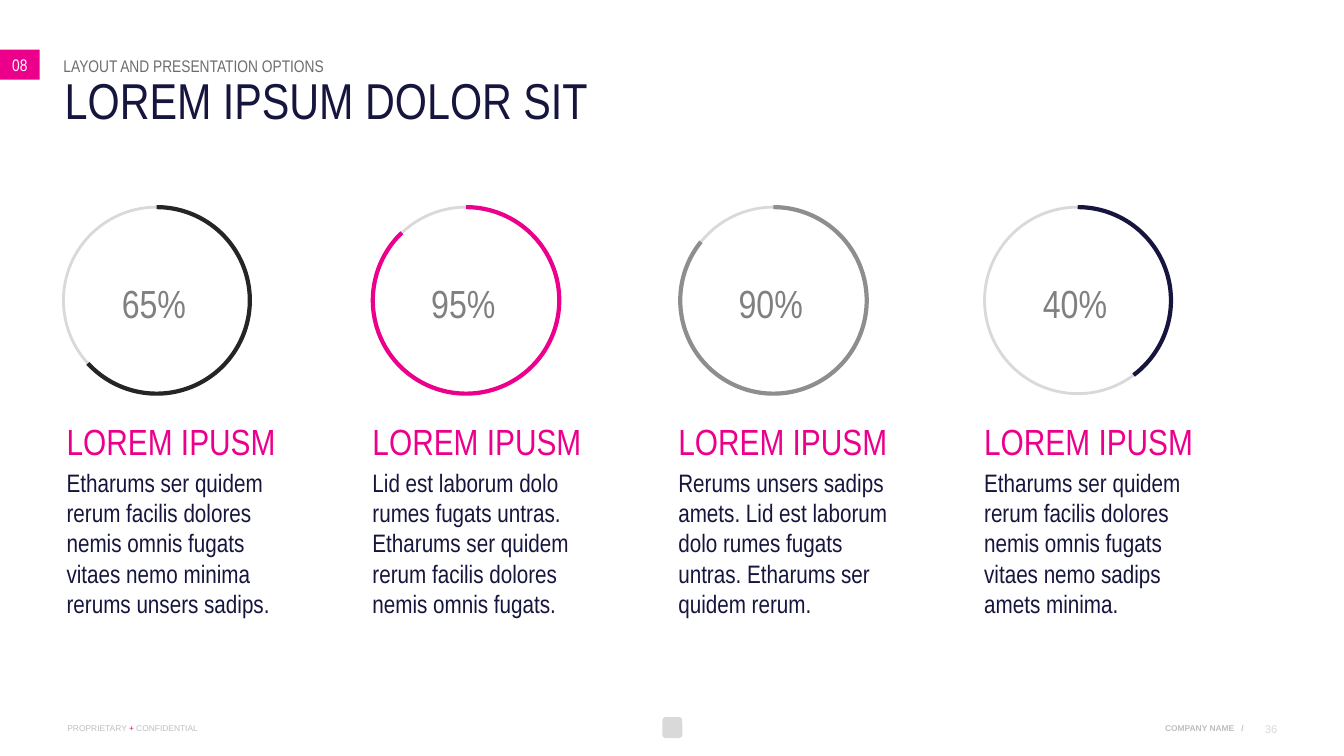
from dataclasses import dataclass
from pptx import Presentation
from pptx.dml.color import RGBColor
from pptx.enum.shapes import MSO_SHAPE as Shape
from pptx.enum.text import MSO_ANCHOR as Anchor, MSO_AUTO_SIZE as AutoSize, PP_ALIGN as Align
from pptx.util import Cm, Pt


@dataclass(frozen=True)
class Theme:
    narrow: str = "Arial Narrow"
    sans: str = "Arial"
    pink: str = "EC008B"
    navy: str = "16153E"
    black: str = "262526"
    ring: str = "8E8E8E"
    track: str = "D9D9D9"
    percent: str = "808080"
    kicker: str = "6D6D6D"
    footer: str = "BFBFBF"
    white: str = "FFFFFF"
    title_size: int = 36
    percent_size: int = 28
    heading_size: int = 26
    body_size: int = 18
    kicker_size: int = 12
    number_size: int = 8
    footer_size: int = 6


@dataclass(frozen=True)
class Stat:
    percent: str
    sweep: float
    color: str
    ring_left: float
    text: str


T = Theme()
HEADING = "LOREM IPUSM"
STATS = [
    Stat("65%", 227.5, T.black, 1.6,
         "Etharums ser quidem rerum facilis dolores nemis omnis fugats vitaes nemo minima rerums unsers sadips."),
    Stat("95%", 316.5, T.pink, 9.4,
         "Lid est laborum dolo rumes fugats untras. Etharums ser quidem rerum facilis dolores nemis omnis fugats."),
    Stat("90%", 308.9, T.ring, 17.15,
         "Rerums unsers sadips amets. Lid est laborum dolo rumes fugats untras. Etharums ser quidem rerum."),
    Stat("40%", 143.2, T.navy, 24.82,
         "Etharums ser quidem rerum facilis dolores nemis omnis fugats vitaes nemo sadips amets minima."),
]


def rgb(value):
    return RGBColor.from_string(value)


def write(sp, paragraphs, font=T.narrow, align=Align.LEFT, anchor=Anchor.TOP,
          wrap=True, after=0, spacing=None, bold=False):
    tf = sp.text_frame
    tf.auto_size = AutoSize.NONE
    tf.word_wrap = wrap
    tf.vertical_anchor = anchor
    tf.margin_left = tf.margin_right = tf.margin_top = tf.margin_bottom = 0
    for i, runs in enumerate(paragraphs):
        p = tf.add_paragraph() if i else tf.paragraphs[0]
        p.alignment = align
        p.space_after = Pt(after)
        if spacing:
            p.line_spacing = spacing
        for text, size, color in runs:
            r = p.add_run()
            r.text = text
            r.font.name = font
            r.font.size = Pt(size)
            r.font.bold = bold
            r.font.color.rgb = rgb(color)


def add_text(slide, box, paragraphs, **style):
    sp = slide.shapes.add_textbox(*map(Cm, box))
    write(sp, paragraphs, **style)


def add_shape(slide, kind, box, fill=None, line=None, width=1):
    sp = slide.shapes.add_shape(kind, *map(Cm, box))
    sp.shadow.inherit = False
    if fill:
        sp.fill.solid()
        sp.fill.fore_color.rgb = rgb(fill)
    else:
        sp.fill.background()
    if line:
        sp.line.color.rgb = rgb(line)
        sp.line.width = Pt(width)
    else:
        sp.line.fill.background()
    return sp


def add_header(slide, box):
    x, y, w, h = box
    tag = add_shape(slide, Shape.RECTANGLE, (x, y, 1, 0.76), fill=T.pink)
    write(tag, [[("08", T.kicker_size, T.white)]], align=Align.CENTER, anchor=Anchor.MIDDLE)
    add_text(slide, (x + 1.6, y + 0.16, w - 1.6, 0.5),
             [[("LAYOUT AND PRESENTATION OPTIONS", T.kicker_size, T.kicker)]])
    title = slide.shapes.title
    title.left, title.top, title.width, title.height = map(Cm, (x + 1.63, y + 0.79, w - 1.63, h - 0.79))
    write(title, [[("LOREM IPSUM DOLOR SIT", T.title_size, T.navy)]], spacing=0.8)


def add_ring(slide, box, stat):
    x, y, w, h = box
    add_shape(slide, Shape.OVAL, box, line=T.track, width=2)
    arc = add_shape(slide, Shape.ARC, box, line=stat.color, width=3)
    arc.adjustments[0] = 270 * 0.6
    arc.adjustments[1] = (270 + stat.sweep) % 360 * 0.6
    add_text(slide, (x - 0.07, y + 0.06, w, h), [[(stat.percent, T.percent_size, T.percent)]],
             align=Align.CENTER, anchor=Anchor.MIDDLE)


def add_stats(slide, box):
    x, y, w, h = box
    pitch = w / len(STATS)
    for i, stat in enumerate(STATS):
        add_ring(slide, (stat.ring_left, y, 4.7, 4.7), stat)
        add_text(slide, (x + i * pitch, y + 5.35, 5.4, h - 5.35),
                 [[(HEADING, T.heading_size, T.pink)], [(stat.text, T.body_size, T.navy)]], after=3)


def add_footer(slide, box):
    x, y, w, h = box
    add_text(slide, (x, y + 0.15, 4, 0.25),
             [[("PROPRIETARY ", T.footer_size, T.footer), ("+", T.footer_size, T.pink),
               (" CONFIDENTIAL", T.footer_size, T.footer)]], font=T.sans, wrap=False)
    add_shape(slide, Shape.ROUNDED_RECTANGLE, (x + w / 2 - 0.25, y, 0.5, h), fill=T.track)
    add_text(slide, (x + w - 4.85, y + 0.15, 4, 0.25),
             [[("COMPANY NAME   /", T.footer_size, T.footer)]],
             font=T.sans, align=Align.RIGHT, bold=True)
    add_text(slide, (x + w - 1, y + 0.12, 1, 0.35), [[("36", T.number_size, T.track)]],
             font=T.sans, align=Align.RIGHT)


def main():
    prs = Presentation()
    prs.slide_width, prs.slide_height = Cm(33.88), Cm(19.05)
    slide = prs.slides.add_slide(prs.slide_layouts[5])
    add_header(slide, (0, 1.25, 32.1, 2.05))
    add_stats(slide, (1.68, 5.22, 30.84, 11.6))
    add_footer(slide, (1.7, 18.07, 30.5, 0.53))
    prs.save("out.pptx")


if __name__ == "__main__":
    main()
